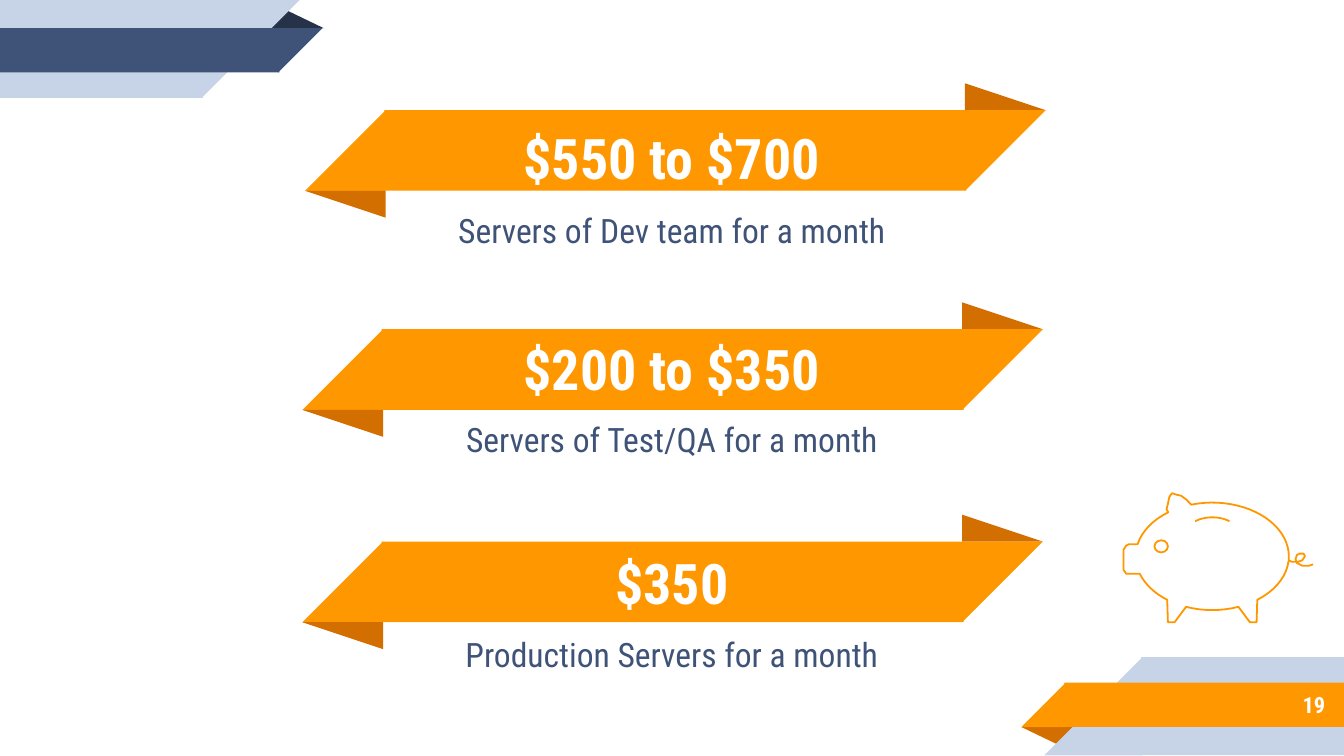
from math import cos, radians, sin

from pptx import Presentation
from pptx.dml.color import RGBColor
from pptx.enum.shapes import MSO_SHAPE as Kind
from pptx.enum.text import MSO_ANCHOR as Anchor, MSO_AUTO_SIZE as Auto, PP_ALIGN as Align
from pptx.util import Inches, Pt

ORANGE = RGBColor(0xFF, 0x98, 0x00)
RUST = RGBColor(0xD2, 0x6F, 0x00)
PALE = RGBColor(0xC7, 0xD3, 0xE6)
NAVY = RGBColor(0x3F, 0x53, 0x78)
DARK = RGBColor(0x26, 0x32, 0x48)
WHITE = RGBColor(0xFF, 0xFF, 0xFF)
FONT = "Roboto Condensed"


def write(box, text, size=30, color=WHITE, bold=True, align=Align.CENTER, before=0, after=0):
    frame = box.text_frame
    frame.word_wrap = True
    frame.auto_size = Auto.NONE
    frame.vertical_anchor = Anchor.MIDDLE
    frame.margin_left = frame.margin_right = Inches(0.1)
    frame.margin_top = frame.margin_bottom = Inches(0.1)
    para = frame.paragraphs[0]
    para.alignment = align
    para.line_spacing = 1
    para.space_before, para.space_after = Pt(before), Pt(after)
    run = para.add_run()
    run.text = text
    font = run.font
    font.name, font.size, font.bold = FONT, Pt(size), bold
    font.color.rgb = color


def arc(x, y, wide, high, start, end):
    """Points on an ellipse, in inches, with angles counted anticlockwise."""
    steps = max(8, (end - start) // 5)
    turns = [radians(start + (end - start) * i / steps) for i in range(steps + 1)]
    return [(x + wide * cos(t), y - high * sin(t)) for t in turns]


# A 16:9 slide
deck = Presentation()
deck.slide_width, deck.slide_height = Inches(10), Inches(10 * 9 / 16)
slide = deck.slides.add_slide(deck.slide_layouts[5])
shapes = slide.shapes

# Corner bands: kind, left, top, width, height, turn, colour, triangle tip
parts = [
    (Kind.ISOSCELES_TRIANGLE, 7.6, 5.41, 0.43, 0.14, 180, RUST, 0.324),
    (Kind.RECTANGLE, 8.49, 4.89, 1.51, 0.73, 0, PALE, None),
    (Kind.RIGHT_TRIANGLE, 7.77, 4.89, 0.73, 0.73, 270, PALE, None),
    (Kind.RECTANGLE, 7.92, 5.08, 2.08, 0.33, 0, ORANGE, None),
    (Kind.RIGHT_TRIANGLE, 7.6, 5.08, 0.33, 0.33, 270, ORANGE, None),
    (Kind.ISOSCELES_TRIANGLE, 1.98, 0.07, 0.43, 0.14, 0, DARK, 0.324),
    (Kind.RECTANGLE, 0, 0, 1.51, 0.73, 0, PALE, None),
    (Kind.RIGHT_TRIANGLE, 1.5, 0, 0.73, 0.73, 90, PALE, None),
    (Kind.RECTANGLE, 0, 0.21, 2.08, 0.33, 0, NAVY, None),
    (Kind.RIGHT_TRIANGLE, 2.07, 0.21, 0.33, 0.33, 90, NAVY, None),
]

# Price ribbons with folded ends
for left, top in [(2.27, 0.82), (2.25, 2.45), (2.25, 4.03)]:
    right = left + 4.91
    parts += [
        (Kind.ISOSCELES_TRIANGLE, right, top - 0.2, 0.6, 0.2, 0, RUST, 0),
        (Kind.RECTANGLE, left + 0.59, top, 4.33, 0.6, 0, ORANGE, None),
        (Kind.RIGHT_TRIANGLE, right, top, 0.6, 0.6, 90, ORANGE, None),
        (Kind.RIGHT_TRIANGLE, left, top, 0.6, 0.6, 270, ORANGE, None),
        (Kind.ISOSCELES_TRIANGLE, left, top + 0.6, 0.6, 0.2, 180, RUST, 0),
    ]

for kind, left, top, width, height, turn, color, tip in parts:
    part = shapes.add_shape(kind, Inches(left), Inches(top), Inches(width), Inches(height))
    part.shadow.inherit = False
    part.rotation = turn
    part.fill.solid()
    part.fill.fore_color.rgb = color
    part.line.fill.background()
    if tip is not None:
        part.adjustments[0] = tip

# Prices and captions; the first price is the slide title, raised above its ribbon
title = shapes.title
title.element.getparent().append(title.element)
rows = [
    ("$550 to $700", 0.88, "Servers of Dev team for a month", 1.46, 0.51),
    ("$200 to $350", 2.45, "Servers of Test/QA for a month", 3.04, 0.45),
    ("$350", 4.04, "Production Servers for a month", 4.64, 0.45),
]
for i, (price, top, note, low, height) in enumerate(rows):
    box = shapes.add_textbox(0, 0, 0, 0) if i else title
    box.left, box.top = Inches(2.86), Inches(top)
    box.width, box.height = Inches(4.28), Inches(0.58)
    write(box, price)
    box = shapes.add_textbox(Inches(2.86), Inches(low), Inches(4.28), Inches(height))
    write(box, note, size=18, color=NAVY, bold=False, before=6, after=10)

# Page number
box = shapes.add_textbox(Inches(8.33), Inches(5.07), Inches(1.63), Inches(0.35))
write(box, "19", size=12, align=Align.RIGHT)

# Piggy bank: tail, back, ear, head, snout, belly and legs in one outline
body = (9.02, 4.14, 0.57, 0.4)
pig = [(9.77, 4.2), (9.74, 4.21), (9.69, 4.21), (9.65, 4.19), (9.64, 4.16), (9.65, 4.13),
       (9.67, 4.12), (9.7, 4.12), (9.71, 4.14), (9.69, 4.17), (9.66, 4.18), (9.61, 4.18),
       (9.59, 4.17)]
pig += arc(*body, 0, 106)
pig += [(8.83, 3.72), (8.79, 3.69), (8.75, 3.68), (8.72, 3.67), (8.7, 3.7), (8.69, 3.75),
        (8.68, 3.79)]
pig += arc(*body, 125, 167)
pig += [(8.4, 4.05), (8.38, 4.06), (8.36, 4.09), (8.36, 4.24), (8.38, 4.27), (8.4, 4.27)]
pig += arc(*body, 199, 234)
pig += [(8.69, 4.63), (8.74, 4.63)]
pig += arc(*body, 250, 290)
pig += [(9.3, 4.63), (9.35, 4.63)]
pig += arc(*body, 306, 355)
slot = arc(9.02, 3.95, 0.18, 0.1, 45, 135)

lines = [shapes.add_shape(Kind.OVAL, Inches(8.59), Inches(4.02), Inches(0.1), Inches(0.09))]
for points in (pig, slot):
    spots = [(Inches(x), Inches(y)) for x, y in points]
    pen = shapes.build_freeform(*spots[0])
    pen.add_line_segments(spots[1:], close=False)
    lines.append(pen.convert_to_shape())
for line in lines:
    line.shadow.inherit = False
    line.fill.background()
    line.line.color.rgb = ORANGE
    line.line.width = Pt(0.96)

deck.save("out.pptx")
